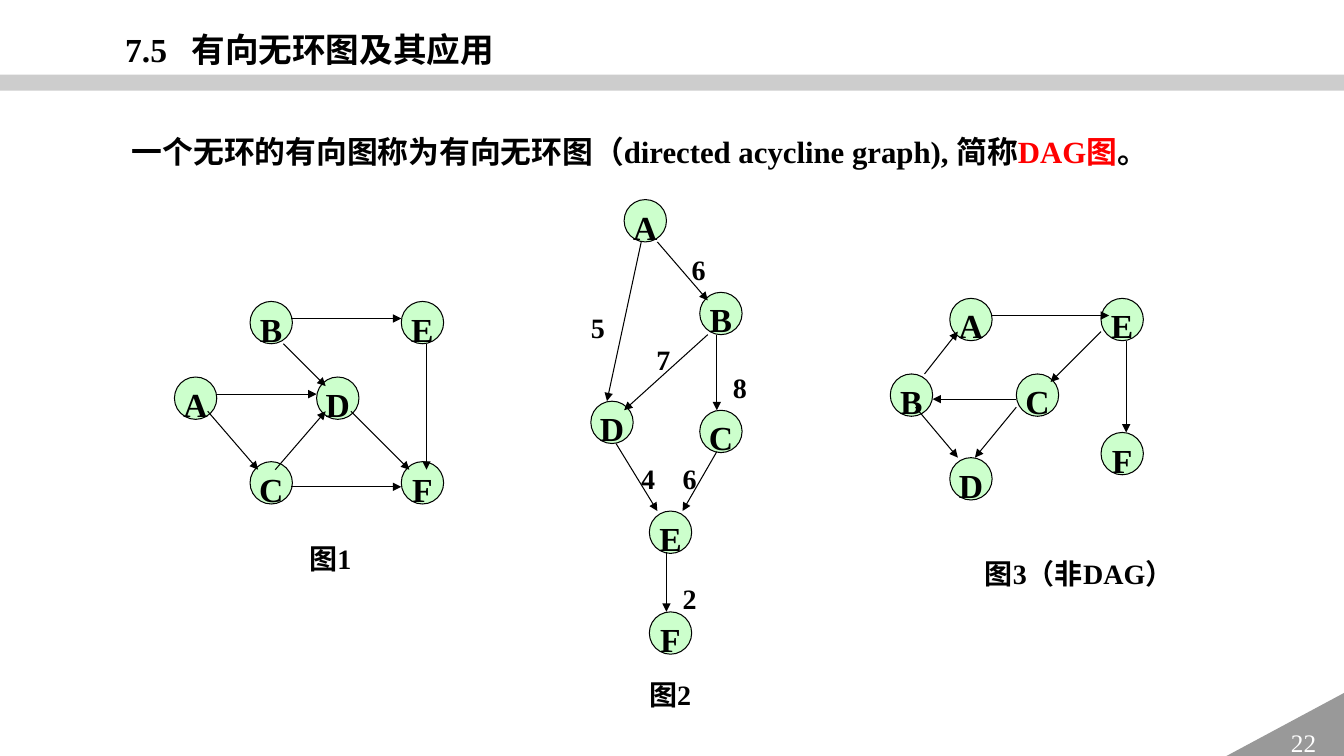
"""Build the slide that introduces directed acyclic graphs with three example graphs."""
from pptx import Presentation
from pptx.dml.color import RGBColor
from pptx.enum.shapes import MSO_CONNECTOR, MSO_SHAPE
from pptx.enum.text import MSO_ANCHOR, PP_ALIGN
from pptx.oxml.ns import qn
from pptx.oxml.xmlchemy import OxmlElement
from pptx.util import Inches, Pt

STRAIGHT = MSO_CONNECTOR.STRAIGHT
RECTANGLE, OVAL, TRIANGLE = MSO_SHAPE.RECTANGLE, MSO_SHAPE.OVAL, MSO_SHAPE.RIGHT_TRIANGLE
TOP, MIDDLE = MSO_ANCHOR.TOP, MSO_ANCHOR.MIDDLE
LEFT, CENTER = PP_ALIGN.LEFT, PP_ALIGN.CENTER

BLACK = RGBColor(0x00, 0x00, 0x00)
WHITE = RGBColor(0xFF, 0xFF, 0xFF)
RED = RGBColor(0xFF, 0x00, 0x00)
MINT = RGBColor(0xCC, 0xFF, 0xCC)
BAND_GRAY = RGBColor(0xA6, 0xA6, 0xA6)
CORNER_GRAY = RGBColor(0x99, 0x99, 0x99)

FONT = "Times New Roman"
NODE_SIZE = 0.42
LABEL_SIZE = (0.17, 0.39)
LINE_SPACING = 1.3

TITLE = "7.5\t有向无环图及其应用"
DEFINITION = [
    ("一个无环的有向图称为有向无环图（directed acycline graph), 简称", BLACK),
    ("DAG图", RED),
    ("。", BLACK),
]
PAGE_NUMBER = "22"

GRAPHS = [
    {
        "caption": ("图1", (2.97, 5.22, 1.33, 0.5)),
        "nodes": {"D": (3.14, 3.74), "A": (1.73, 3.74), "C": (2.48, 4.58),
                  "E": (3.98, 2.99), "B": (2.48, 2.99), "F": (3.98, 4.58)},
        "arrows": [
            (2.14, 3.91, 3.14, 3.91), (2.06, 4.08, 2.56, 4.66),
            (2.73, 4.66, 3.23, 4.08), (2.81, 3.41, 3.23, 3.83),
            (2.89, 3.16, 3.98, 3.16), (4.23, 3.41, 4.23, 4.66),
            (2.89, 4.83, 3.98, 4.83), (3.48, 4.08, 4.06, 4.66),
        ],
        "weights": [],
    },
    {
        "caption": ("图2", (6.34, 6.57, 1.33, 0.5)),
        "nodes": {"B": (6.94, 2.9), "A": (6.19, 1.98), "D": (5.86, 3.98),
                  "E": (6.44, 5.07), "F": (6.44, 6.07), "C": (6.94, 4.07)},
        "arrows": [
            (6.36, 2.4, 6.02, 3.98), (6.52, 2.4, 7.02, 2.98),
            (7.02, 3.32, 6.19, 4.07), (7.11, 3.32, 7.11, 4.07),
            (6.11, 4.4, 6.52, 5.07), (7.11, 4.48, 6.77, 5.07),
            (6.61, 5.48, 6.61, 6.07),
        ],
        "weights": [("6", 6.86, 2.4), ("8", 7.27, 3.58), ("5", 5.86, 2.98), ("7", 6.51, 3.3),
                    ("4", 6.36, 4.48), ("6", 6.77, 4.48), ("2", 6.77, 5.67)],
    },
    {
        "caption": ("图3（非DAG）", (9.67, 5.37, 2.33, 0.5)),
        "nodes": {"C": (10.08, 3.71), "A": (9.42, 2.96), "D": (9.42, 4.54),
                  "E": (10.92, 2.96), "B": (8.83, 3.71), "F": (10.92, 4.29)},
        "arrows": [
            (9.83, 3.13, 11, 3.13), (11.17, 3.38, 11.17, 4.29),
            (9.17, 3.71, 9.5, 3.29), (10.92, 3.29, 10.42, 3.79),
            (10.08, 4.04, 9.67, 4.54), (9.08, 4.04, 9.5, 4.54),
            (10.08, 3.96, 9.25, 3.96),
        ],
        "weights": [],
    },
]


def inches(values):
    return [Inches(value) for value in values]


def set_attributes(target, values):
    for name, value in values.items():
        setattr(target, name, value)


def write(shape, runs, size, frame=None, bold=True, align=LEFT, spacing=LINE_SPACING):
    text_frame = shape.text_frame
    set_attributes(text_frame, {"word_wrap": True, "vertical_anchor": TOP, **(frame or {})})
    paragraph = text_frame.paragraphs[0]
    set_attributes(paragraph, {"alignment": align, "line_spacing": spacing})
    for text, color in runs:
        run = paragraph.add_run()
        run.text = text
        set_attributes(run.font, {"name": FONT, "size": Pt(size), "bold": bold})
        run.font.color.rgb = color
    return paragraph


def add_filled(shapes, kind, box, fill, outline=None):
    shape = shapes.add_shape(kind, *inches(box))
    shape.shadow.inherit = False
    shape.fill.solid()
    shape.fill.fore_color.rgb = fill
    if outline is None:
        shape.line.fill.background()
    else:
        shape.line.color.rgb = outline
        shape.line.width = Pt(0.75)
    return shape


def add_arrow(shapes, ends):
    connector = shapes.add_connector(STRAIGHT, *inches(ends))
    connector.line.color.rgb = BLACK
    connector.line.width = Pt(0.75)
    properties = connector._element.spPr
    head = OxmlElement("a:tailEnd")
    head.set("type", "triangle")
    properties.find(qn("a:ln")).append(head)
    properties.append(OxmlElement("a:effectLst"))


def add_graph(slide, graph):
    shapes = slide.shapes.add_group_shape().shapes
    for name, position in graph["nodes"].items():
        node = add_filled(shapes, OVAL, (*position, NODE_SIZE, NODE_SIZE), MINT, BLACK)
        write(node, [(name, BLACK)], 24,
              {"word_wrap": False, "vertical_anchor": MIDDLE}, align=CENTER)
    for ends in graph["arrows"]:
        add_arrow(shapes, ends)
    no_margins = {f"margin_{side}": 0 for side in ("left", "top", "right", "bottom")}
    for weight, left, top in graph["weights"]:
        label = shapes.add_textbox(*inches((left, top, *LABEL_SIZE)))
        write(label, [(weight, BLACK)], 20, no_margins)
    caption, box = graph["caption"]
    write(shapes.add_textbox(*inches(box)), [(caption, BLACK)], 20)


def add_frame(slide):
    band = add_filled(slide.shapes, RECTANGLE, (0, 0.74, 13.33, 0.16), BAND_GRAY)
    alpha = OxmlElement("a:alpha")
    alpha.set("val", "56000")
    band._element.spPr.find(qn("a:solidFill"))[0].append(alpha)
    corner = add_filled(slide.shapes, TRIANGLE, (12.11, 6.87, 1.23, 0.66), CORNER_GRAY)
    corner._element.spPr.xfrm.set("flipH", "1")
    write(corner, [(PAGE_NUMBER, WHITE)], 18, {"vertical_anchor": MIDDLE},
          bold=False, align=CENTER, spacing=1.0)


def add_title(slide):
    title = slide.shapes.title
    box = inches((1.14, 0.12, 9.67, 0.57))
    set_attributes(title, dict(zip(("left", "top", "width", "height"), box)))
    properties = title.text_frame.paragraphs[0]._p.get_or_add_pPr()
    tabs = OxmlElement("a:tabLst")
    tab = OxmlElement("a:tab")
    tab.set("pos", str(Inches(0.66)))
    tab.set("algn", "l")
    tabs.append(tab)
    properties.append(tabs)
    write(title, [(TITLE, BLACK)], 24)


def main():
    presentation = Presentation()
    presentation.slide_width, presentation.slide_height = inches((13.33, 7.5))
    slide = presentation.slides.add_slide(presentation.slide_layouts[5])
    add_frame(slide)
    add_title(slide)
    for graph in GRAPHS:
        add_graph(slide, graph)
    definition = slide.shapes.add_textbox(*inches((0.93, 1.16, 11.5, 0.58)))
    paragraph = write(definition, DEFINITION, 22)
    paragraph._p.get_or_add_pPr().set("indent", str(Inches(0.28)))
    presentation.save("out.pptx")


if __name__ == "__main__":
    main()
